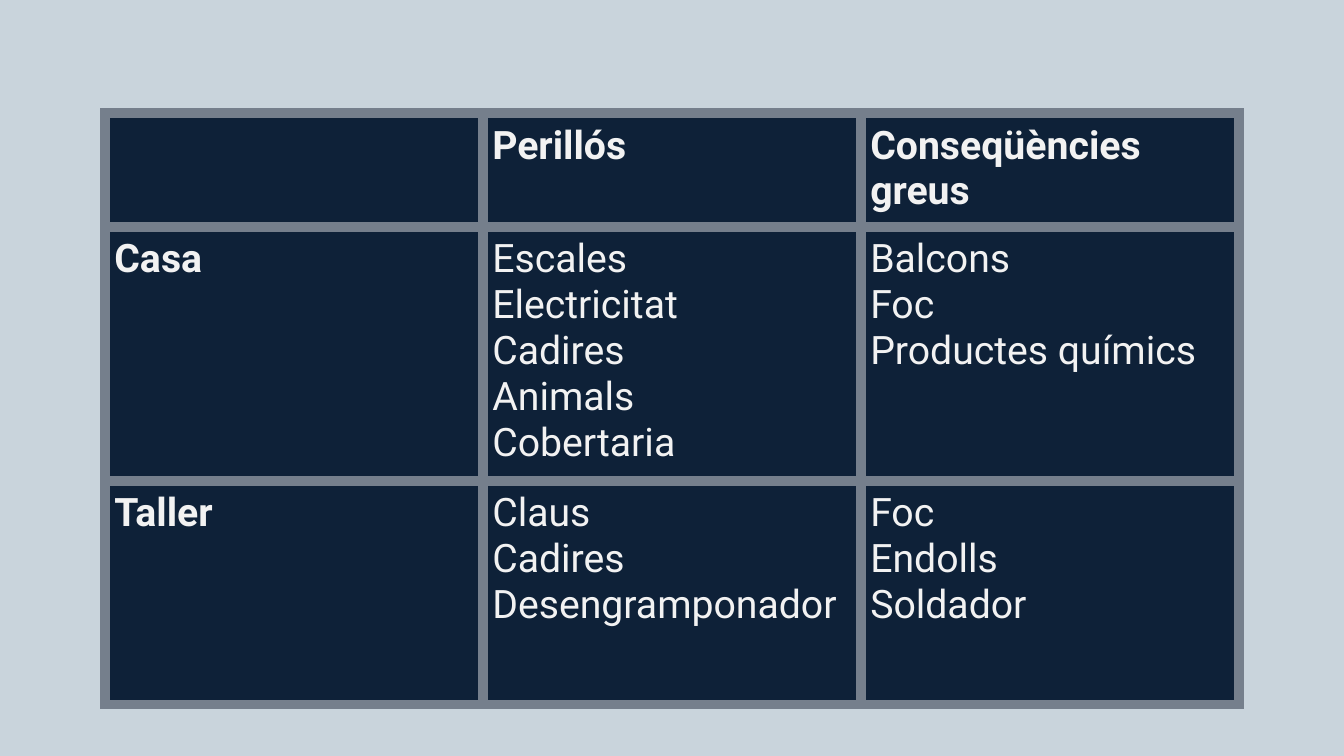
from dataclasses import dataclass

from lxml.etree import SubElement
from pptx import Presentation
from pptx.dml.color import RGBColor
from pptx.oxml.ns import qn
from pptx.util import Inches, Pt


@dataclass(frozen=True)
class Theme:
    background: str = "C9D4DC"
    cell: str = "0E2138"
    border: str = "757F8C"
    text: str = "F2F2F2"
    font: str = "Roboto"
    text_size: float = 21
    border_width: float = 6
    cell_margin: float = 0.07


THEME = Theme()
SLIDE_WIDTH = Inches(10)
SLIDE_HEIGHT = SLIDE_WIDTH * 9 // 16
# The slide is divided into a grid of 64 columns and 100 rows
GRID_COLUMN = SLIDE_WIDTH / 64
GRID_ROW = SLIDE_HEIGHT / 100
TABLE_LEFT, TABLE_TOP, TABLE_WIDTH = 5, 15, 54
ROW_SPANS = (15, 33.6, 29.6)

HAZARDS = [
    [[], ["Perillós"], ["Conseqüències greus"]],
    [
        ["Casa"],
        ["Escales", "Electricitat", "Cadires", "Animals", "Cobertaria"],
        ["Balcons", "Foc", "Productes químics"],
    ],
    [
        ["Taller"],
        ["Claus", "Cadires", "Desengramponador"],
        ["Foc", "Endolls", "Soldador"],
    ],
]


def paint(fill, color):
    fill.solid()
    fill.fore_color.rgb = RGBColor.from_string(color)


def add_borders(cell):
    """Draw all four sides; the schema wants them before the cell's fill."""
    properties = cell._tc.get_or_add_tcPr()
    for index, side in enumerate(("a:lnL", "a:lnR", "a:lnT", "a:lnB")):
        line = SubElement(properties, qn(side), w=str(Pt(THEME.border_width)))
        fill = SubElement(line, qn("a:solidFill"))
        SubElement(fill, qn("a:srgbClr"), val=THEME.border)
        properties.insert(index, line)


def write_lines(text_frame, lines, bold):
    for index, line in enumerate(lines):
        paragraph = text_frame.add_paragraph() if index else text_frame.paragraphs[0]
        run = paragraph.add_run()
        run.text = line
        run.font.name = THEME.font
        run.font.size = Pt(THEME.text_size)
        run.font.bold = bold
        run.font.color.rgb = RGBColor.from_string(THEME.text)


def fill_cell(cell, lines, bold):
    margin = Inches(THEME.cell_margin)
    cell.margin_left = cell.margin_right = margin
    cell.margin_top = cell.margin_bottom = margin
    paint(cell.fill, THEME.cell)
    add_borders(cell)
    write_lines(cell.text_frame, lines, bold)


def add_hazard_table(slide, left, top, width, height):
    column_count = len(HAZARDS[0])
    table = slide.shapes.add_table(
        len(HAZARDS), column_count, left, top, width, height
    ).table
    table.first_row = table.horz_banding = False
    for column in table.columns:
        column.width = int(width / column_count)
    for row, span in zip(table.rows, ROW_SPANS):
        row.height = int(height * span / sum(ROW_SPANS))
    for row_index, row in enumerate(HAZARDS):
        for column_index, lines in enumerate(row):
            is_heading = row_index == 0 or column_index == 0
            fill_cell(table.cell(row_index, column_index), lines, is_heading)


def main():
    presentation = Presentation()
    presentation.slide_width = SLIDE_WIDTH
    presentation.slide_height = SLIDE_HEIGHT
    slide = presentation.slides.add_slide(presentation.slide_layouts[6])
    paint(slide.background.fill, THEME.background)
    add_hazard_table(
        slide,
        left=int(TABLE_LEFT * GRID_COLUMN),
        top=int(TABLE_TOP * GRID_ROW),
        width=int(TABLE_WIDTH * GRID_COLUMN),
        height=int(sum(ROW_SPANS) * GRID_ROW),
    )
    presentation.save("out.pptx")


if __name__ == "__main__":
    main()
